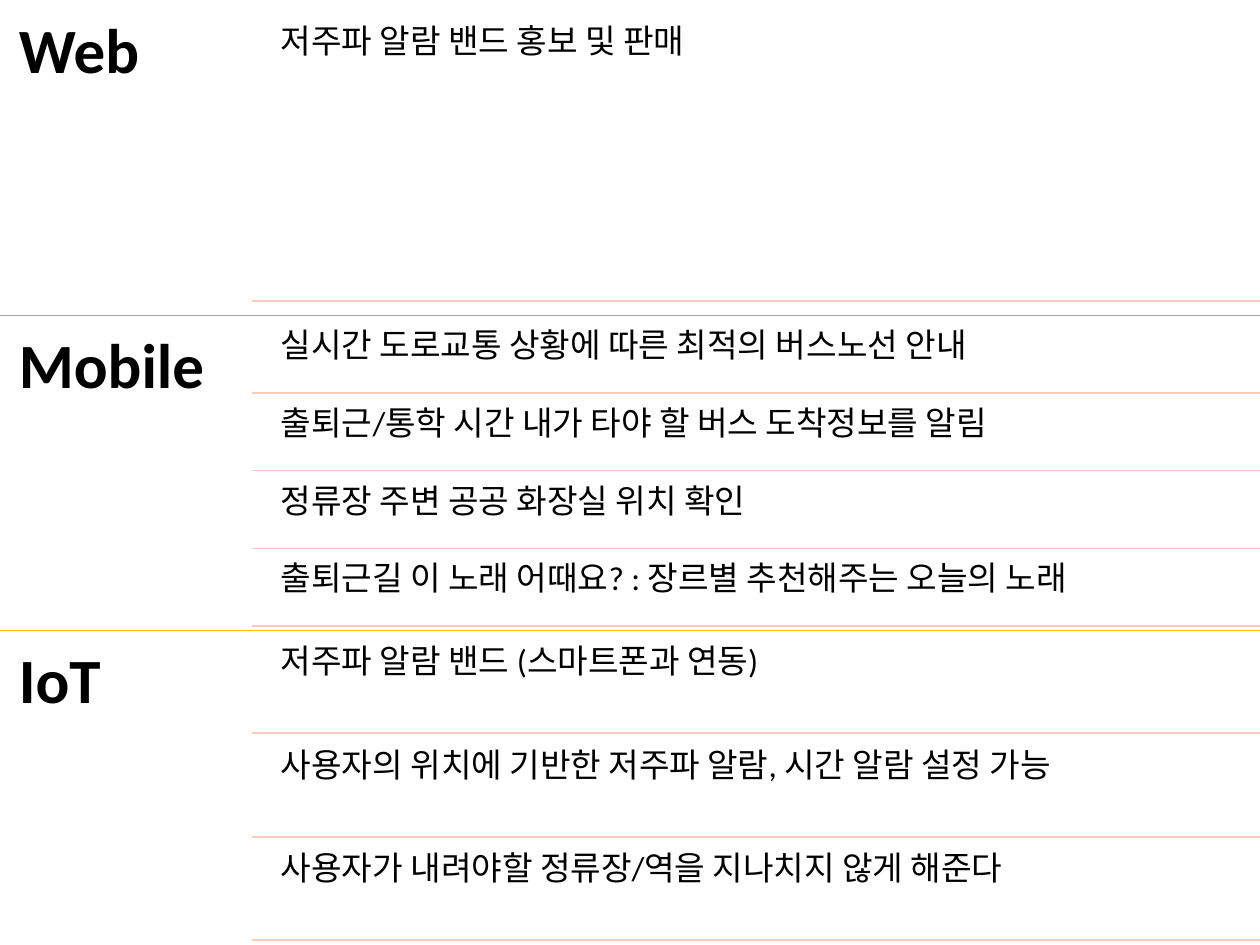
from lxml.etree import SubElement
from pptx import Presentation
from pptx.dml.color import RGBColor as RGB
from pptx.enum.shapes import MSO_CONNECTOR as CONN
from pptx.enum.text import MSO_ANCHOR as ANCHOR, PP_ALIGN as ALIGN
from pptx.oxml.ns import qn
from pptx.util import Inches, Pt

COLORS = {"text": "000000", "item": "F6CCBE", "mobile": "A5A5A5", "iot": "FFC000"}
SECTIONS = [
    ("Web", None, ["저주파 알람 밴드 홍보 및 판매"]),
    ("Mobile", "mobile", [
        "실시간 도로교통 상황에 따른 최적의 버스노선 안내",
        "출퇴근/통학 시간 내가 타야 할 버스 도착정보를 알림",
        "정류장 주변 공공 화장실 위치 확인",
        "출퇴근길 이 노래 어때요? : 장르별 추천해주는 오늘의 노래",
    ]),
    ("IoT", "iot", [
        "저주파 알람 밴드 (스마트폰과 연동)",
        "사용자의 위치에 기반한 저주파 알람, 시간 알람 설정 가능",
        "사용자가 내려야할 정류장/역을 지나치지 않게 해준다",
    ]),
]
LABEL = {"size": Pt(36), "bold": True, "name": "Calibri"}
ITEM = {"size": Pt(19), "bold": False, "name": "Calibri"}

prs = Presentation()
prs.slide_width, prs.slide_height = Inches(10), Inches(7.5)
s = prs.slides.add_slide(prs.slide_layouts[6])
W, H = prs.slide_width, prs.slide_height

label_w = W * 0.2
item_x = label_w + W * 0.015
section_h = H / len(SECTIONS)
GAP = 0.05  # space around items, as a share of an item's height


def add_text(text, x, y, w, h, inset, font):
    sp = s.shapes.add_textbox(int(x), int(y), int(w), int(h))
    tf = sp.text_frame
    frame = {"word_wrap": True, "vertical_anchor": ANCHOR.TOP}
    for side in ("left", "top", "right", "bottom"):
        frame["margin_" + side] = Inches(inset)
    for key, value in frame.items():
        setattr(tf, key, value)
    p = tf.paragraphs[0]
    p.alignment, p.line_spacing = ALIGN.LEFT, 0.9
    r = p.add_run()
    r.text = text
    for key, value in font.items():
        setattr(r.font, key, value)
    r.font.color.rgb = RGB.from_string(COLORS["text"])


def add_rule(x, y, color, width):
    """Draw a horizontal line from x to the right edge of the slide."""
    line = s.shapes.add_connector(CONN.STRAIGHT, int(x), int(y), W, int(y))
    line.line.color.rgb = RGB.from_string(COLORS[color])
    line.line.width = Pt(width)
    SubElement(line._element.spPr, qn("a:effectLst"))


for i, (label, color, items) in enumerate(SECTIONS):
    top = i * section_h
    if color:
        add_rule(0, top, color, 0.5)
    add_text(label, 0, top, label_w, section_h, 0.15, LABEL)

    n = len(items)
    item_h = section_h / (n + GAP * (n + 1))
    for j, item in enumerate(items):
        y = top + item_h * (GAP + j * (1 + GAP))
        add_text(item, item_x, y, W - item_x, item_h, 0.08, ITEM)
        add_rule(label_w, y + item_h, "item", 1)

prs.save("out.pptx")
